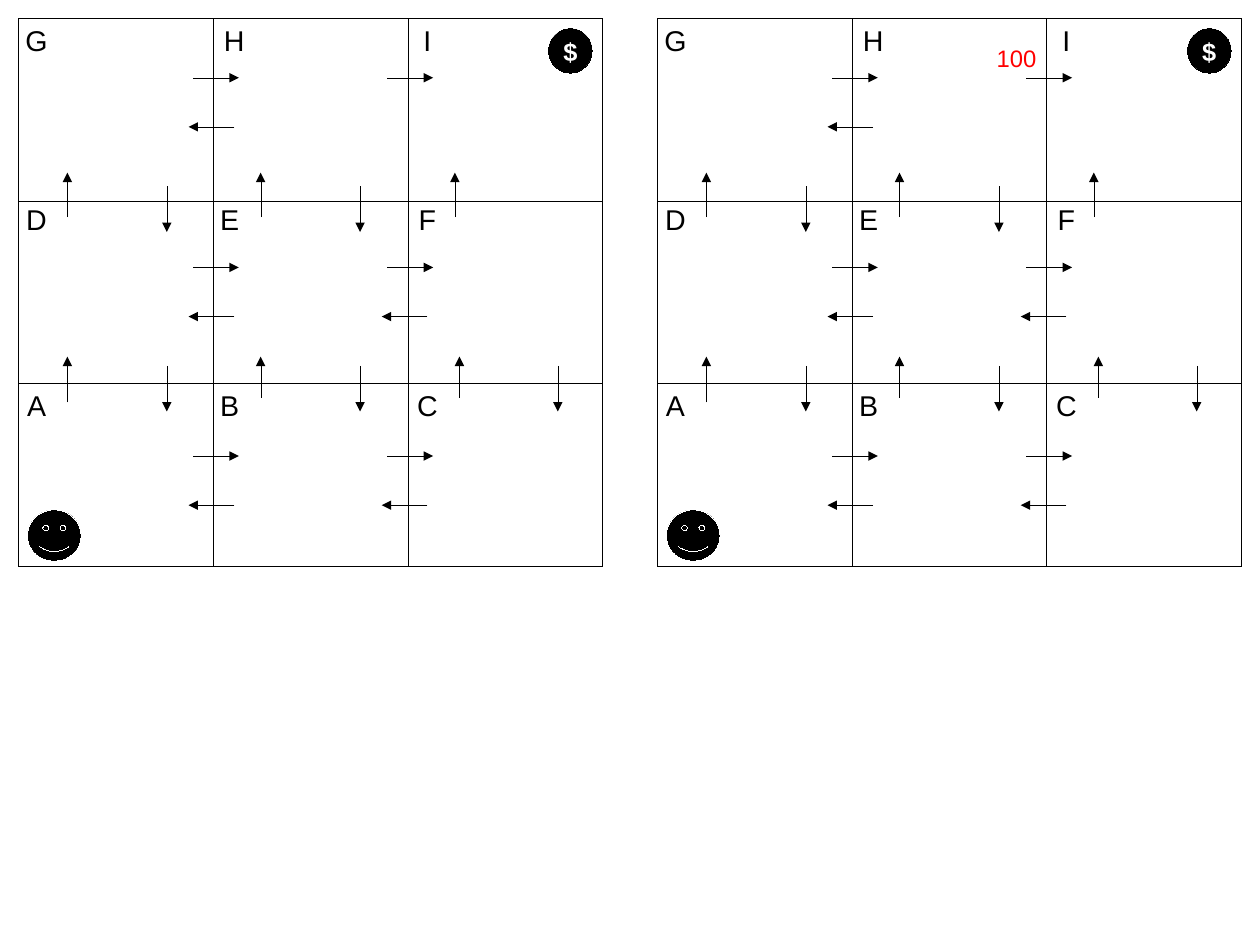
from itertools import product
from typing import NamedTuple

from lxml import etree
from pptx import Presentation
from pptx.dml.color import RGBColor
from pptx.enum import shapes, text
from pptx.oxml import ns
from pptx.shapes.autoshape import Shape
from pptx.shapes.connector import Connector
from pptx.shapes.group import GroupShape
from pptx.slide import Slide
from pptx.util import Inches, Pt

BLACK, WHITE, RED = "000000", "FFFFFF", "FF0000"
RECTANGLE = shapes.MSO_SHAPE.RECTANGLE
OVAL = shapes.MSO_SHAPE.OVAL
SMILEY = shapes.MSO_SHAPE.SMILEY_FACE

CM_PER_INCH = 2.54
BOARD_LEFTS = (0.16, 5.75)
BOARD_TOP = 0.16
CELL_WIDTH, CELL_HEIGHT = 1.705, 1.6
ROWS = ("GHI", "DEF", "ABC")
LETTER_LEFTS = (0.04, 1.73, 3.46)
LETTER_TOPS = (0.21, 1.78, 3.4)


class Box(NamedTuple):
    """Left is measured from the left edge of its board."""
    left: float
    top: float
    width: float
    height: float


class Arrow(NamedTuple):
    x1: float
    y1: float
    x2: float
    y2: float


class Label(NamedTuple):
    words: str
    size: float
    color: str
    bold: bool = False


RIGHTWARD = [Arrow(x, y, x + 0.4, y)
             for x, y in product((1.53, 3.23), (0.68, 2.34, 3.99))]
LEFTWARD = [Arrow(x, y, x - 0.4, y)
            for x, y in product((1.89, 3.58), (1.11, 2.77, 4.42))
            if (x, y) != (3.58, 1.11)]
DOWNWARD = [Arrow(x, y, x, y + 0.4)
            for x, y in product((1.3, 2.99, 4.72), (1.63, 3.2))
            if (x, y) != (4.72, 1.63)]
UPWARD = [Arrow(x, 1.9, x, 1.51) for x in (0.43, 2.12, 3.82)]
UPWARD += [Arrow(x, y, x, 3.12)
           for x, y in ((0.43, 3.52), (2.12, 3.48), (3.86, 3.48))]
ARROWS = RIGHTWARD + LEFTWARD + DOWNWARD + UPWARD


def rgb(color: str) -> RGBColor:
    return RGBColor.from_string(color)


def draw_hairline(figure: Shape | Connector, color: str) -> etree._Element:
    """Colour the outline, write its zero width out and return it."""
    figure.line.color.rgb = rgb(color)
    outline = figure._element.spPr.find(ns.qn("a:ln"))
    outline.set("w", "0")
    return outline


def add_figure(board: GroupShape, left: float, kind: shapes.MSO_SHAPE, box: Box,
               fill: str, line: str, label: Label | None = None) -> Shape:
    figure = board.shapes.add_shape(
        kind, Inches(left + box.left), Inches(box.top),
        Inches(box.width), Inches(box.height))
    figure.shadow.inherit = False
    figure.fill.solid()
    figure.fill.fore_color.rgb = rgb(fill)
    draw_hairline(figure, line)
    if label:
        write_label(figure, label)
    return figure


def write_label(figure: Shape, label: Label) -> None:
    frame = figure.text_frame
    frame.text = label.words
    frame.word_wrap = False
    frame.vertical_anchor = text.MSO_ANCHOR.MIDDLE
    para = frame.paragraphs[0]
    para.alignment = text.PP_ALIGN.CENTER
    font = para.runs[0].font
    font.name = "Arial"
    font.size = Pt(label.size)
    font.bold = label.bold
    font.color.rgb = rgb(label.color)


def add_arrow(board: GroupShape, left: float, arrow: Arrow) -> None:
    line = board.shapes.add_connector(
        shapes.MSO_CONNECTOR.STRAIGHT,
        Inches(left + arrow.x1), Inches(arrow.y1),
        Inches(left + arrow.x2), Inches(arrow.y2))
    outline = draw_hairline(line, BLACK)
    etree.SubElement(outline, ns.qn("a:tailEnd"), type="triangle")
    etree.SubElement(line._element.spPr, ns.qn("a:effectLst"))


def add_board(page: Slide, left: float) -> GroupShape:
    board = page.shapes.add_group_shape()
    for row, column in product(range(3), repeat=2):
        cell = Box(column * CELL_WIDTH, BOARD_TOP + row * CELL_HEIGHT,
                   CELL_WIDTH, CELL_HEIGHT)
        add_figure(board, left, RECTANGLE, cell, WHITE, BLACK)
    add_figure(board, left, OVAL, Box(4.64, 0.25, 0.38, 0.39), BLACK, BLACK,
               Label("$", 16, WHITE, bold=True))
    player = add_figure(board, left, SMILEY, Box(0.08, 4.46, 0.47, 0.45),
                        BLACK, WHITE)
    player.adjustments[0] = 0.093
    for arrow in ARROWS:
        add_arrow(board, left, arrow)
    for letters, top in zip(ROWS, LETTER_TOPS):
        for letter, offset in zip(letters, LETTER_LEFTS):
            nudge = 0.04 if letter == "H" else 0
            add_figure(board, left, RECTANGLE,
                       Box(offset + nudge, top, 0.24, 0.28), WHITE, WHITE,
                       Label(letter, 18, BLACK))
    return board


def main() -> None:
    deck = Presentation()
    deck.slide_width = Inches(28 / CM_PER_INCH)
    deck.slide_height = Inches(21 / CM_PER_INCH)
    page = deck.slides.add_slide(deck.slide_layouts.get_by_name("Blank"))
    boards = [add_board(page, left) for left in BOARD_LEFTS]
    add_figure(boards[1], BOARD_LEFTS[1], RECTANGLE,
               Box(2.91, 0.39, 0.47, 0.24), WHITE, WHITE, Label("100", 15, RED))
    deck.save("out.pptx")


if __name__ == "__main__":
    main()
